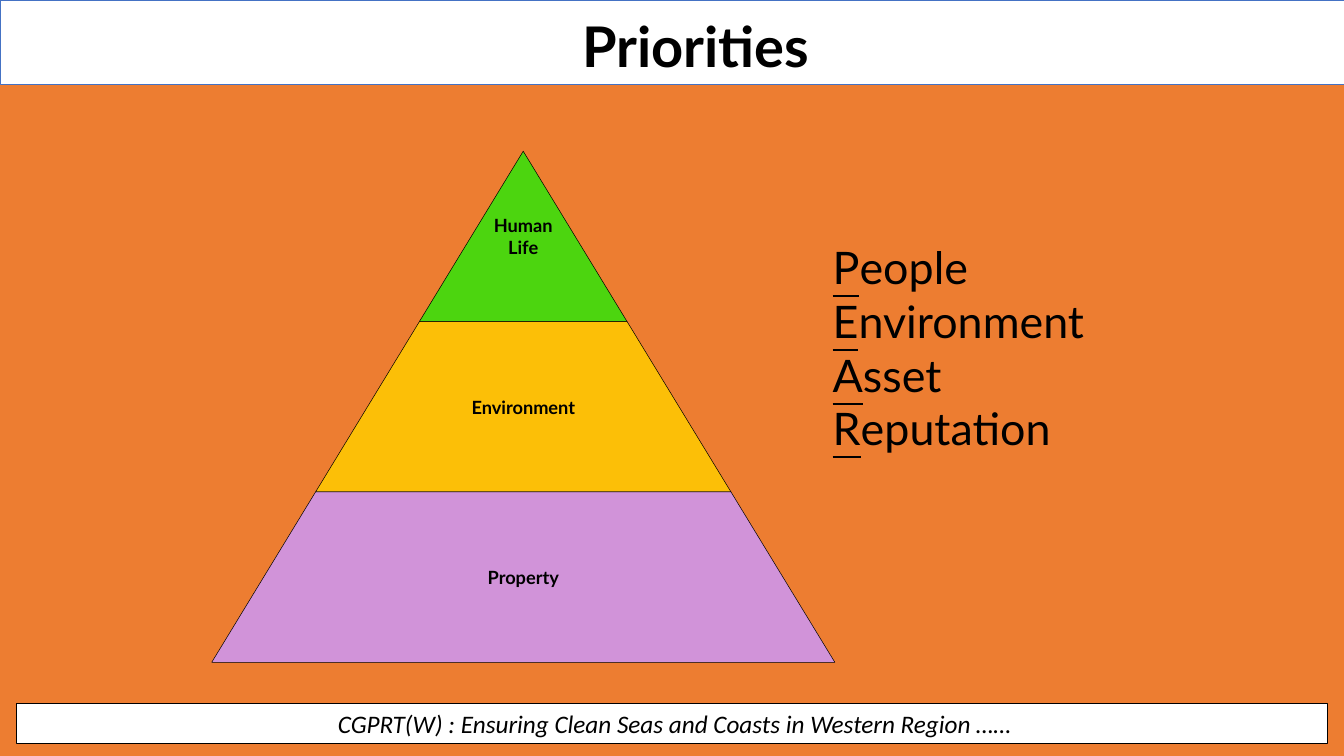
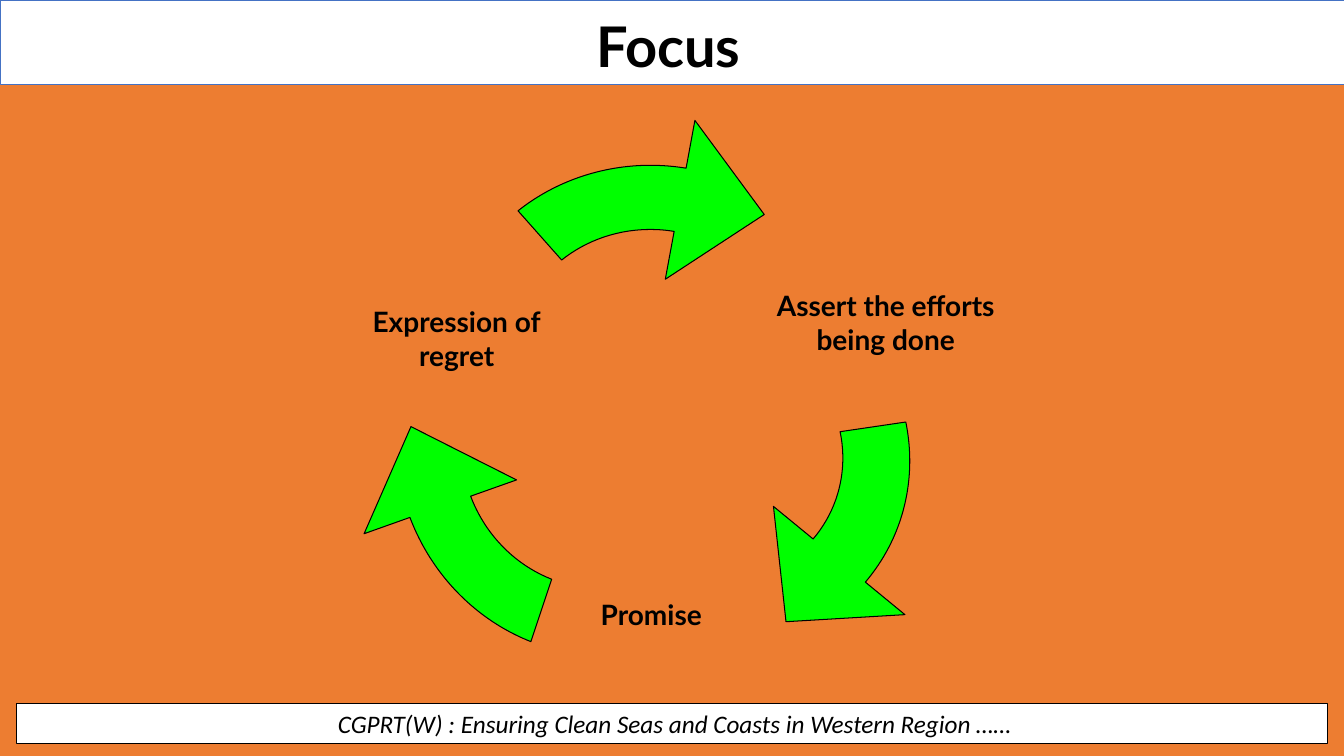
"""Build the Priorities and Focus slides."""
import math
import pptx
import pptx.util
import pptx.dml.color
import pptx.enum.shapes
import pptx.enum.text
import pptx.oxml.ns
import lxml.etree

PX = 9144
BACK, WHITE, BLACK, BLUE, GREEN = "ED7D31", "FFFFFF", "000000", "4472C4", "00FF00"
LEFT, MID = pptx.enum.text.PP_ALIGN.LEFT, pptx.enum.text.PP_ALIGN.CENTER
TOP, CORE = pptx.enum.text.MSO_ANCHOR.TOP, pptx.enum.text.MSO_ANCHOR.MIDDLE
RECT = pptx.enum.shapes.MSO_SHAPE.RECTANGLE
tag = pptx.oxml.ns.qn


def paint(shape, fill, line, width, alpha=100):
    """Set fill, opacity and outline, and drop the shadow."""
    shape.shadow.inherit = False
    shape.fill.solid()
    shape.fill.fore_color.rgb = pptx.dml.color.RGBColor.from_string(fill)
    shape.line.color.rgb = pptx.dml.color.RGBColor.from_string(line)
    shape.line.width = pptx.util.Pt(width)
    if alpha < 100:
        tint = shape.fill._xPr.find(".//" + tag("a:srgbClr"))
        lxml.etree.SubElement(tint, tag("a:alpha"), val=str(alpha * 1000))


def write(shape, text, size, font="Lato", bold=True, align=MID, anchor=CORE, tight=True):
    """Fill a shape with text in one style; tight means no insets and no wrap."""
    frame = shape.text_frame
    frame.text = text
    frame.vertical_anchor = anchor
    frame.word_wrap = not tight
    if tight:
        frame.margin_left = frame.margin_right = frame.margin_top = frame.margin_bottom = 0
    for para in frame.paragraphs:
        para.alignment = align
        for run in para.runs:
            run.font.size = pptx.util.Pt(size)
            run.font.name = font
            run.font.bold = bold
            run.font.color.rgb = pptx.dml.color.RGBColor.from_string(BLACK)
    return frame


deck = pptx.Presentation()
deck.slide_width, deck.slide_height = 1333 * PX, 750 * PX

slides = []
for title, left, wide in [("Priorities", 240, 900), ("Focus", 140, 1046)]:
    slide = deck.slides.add_slide(deck.slide_layouts[6])
    slide.background.fill.solid()
    slide.background.fill.fore_color.rgb = pptx.dml.color.RGBColor.from_string(BACK)
    foot = slide.shapes.add_shape(RECT, 16 * PX, 698 * PX, 1301 * PX, 40 * PX)
    paint(foot, WHITE, BLACK, 0.75)
    frame = write(foot, " CGPRT(W) : Ensuring Clean Seas and Coasts in Western Region ……",
                  18, "Calibri", False, tight=False)
    frame.paragraphs[0].runs[0].font.italic = True
    band = slide.shapes.add_shape(RECT, 0, 0, 1333 * PX, 84 * PX)
    paint(band, WHITE, BLUE, 0.5)
    head = slide.shapes.add_textbox(left * PX, 14 * PX, wide * PX, 61 * PX)
    frame = write(head, title, 40, anchor=TOP, tight=False)
    frame.paragraphs[0].line_spacing = 0.9
    slides.append(slide)
first, second = slides

peak, top, tall, step = 519, 150, 169, 103
tiers = [("Human\nLife", GREEN, 68), ("Environment", "FFCC00", 84), ("Property", "CC99FF", 82)]
for rank, (text, fill, alpha) in enumerate(tiers):
    high, low = top + rank * tall, top + (rank + 1) * tall
    near, far = rank * step, (rank + 1) * step
    pen = first.shapes.build_freeform(peak - far, low, PX)
    corners = [(peak - near, high), (peak + near, high), (peak + far, low)]
    pen.add_line_segments(corners if rank else corners[1:])
    tier = pen.convert_to_shape()
    paint(tier, fill, BLACK, 0.37, alpha)
    write(tier, text, 13)

box = first.shapes.add_textbox(816 * PX, 233 * PX, 354 * PX, 226 * PX)
frame = write(box, "P\nE\nA\nR", 32, bold=False, align=LEFT, anchor=TOP, tight=False)
for para, rest in zip(frame.paragraphs, ["eople", "nvironment", "sset", "eputation"]):
    para.runs[0].font.underline = True
    run = para.add_run()
    run.text = rest
    run.font.size = pptx.util.Pt(32)
    run.font.name = "Lato"
    run.font.color.rgb = pptx.dml.color.RGBColor.from_string(BLACK)

steps = [("moveTo", [(0.67, -80)])]
for reach, stops in [(0.67, [-80, -90, -130]), (1, [-130, -90, -80])]:
    if reach == 1:
        steps.append(("lnTo", [(1, -130)]))
    for start, end in zip(stops, stops[1:]):
        bend = math.degrees(math.atan(4 / 3 * math.tan(math.radians(end - start) / 4)))
        pull = reach / math.cos(math.radians(bend))
        steps.append(("cubicBezTo", [(pull, start + bend), (pull, end - bend), (reach, end)]))
steps += [("lnTo", [spot]) for spot in [(1.25, -80), (0.93, -53.4), (0.42, -80), (0.67, -80)]]
steps.append(("close", []))

for mid, level, wide, tall, turn in [(645, 357, 408, 386, 0), (701, 448, 386, 408, 120),
                                     (589, 449, 408, 386, 240)]:
    left, top = mid - wide / 2, level - tall / 2
    pen = second.shapes.build_freeform(left, top, PX)
    pen.add_line_segments([(left + wide, top), (left + wide, top + tall)])
    arrow = pen.convert_to_shape()
    arrow.rotation = turn
    track = arrow._element.find(".//" + tag("a:path"))
    track.set("w", "2000")
    track.set("h", "2000")
    for node in list(track):
        track.remove(node)
    for kind, spots in steps:
        node = lxml.etree.SubElement(track, tag("a:" + kind))
        for reach, deg in spots:
            x = round(1000 + 1000 * reach * math.cos(math.radians(deg)))
            y = round(1000 + 1000 * reach * math.sin(math.radians(deg)))
            lxml.etree.SubElement(node, tag("a:pt"), x=str(x), y=str(y))
    paint(arrow, GREEN, BLACK, 0.75)

for text, left, top, wide, tall in [("Assert the efforts\nbeing done", 729, 248, 299, 143),
                                    ("Promise", 563, 552, 166, 114),
                                    ("Expression of\nregret", 363, 258, 180, 155)]:
    label = second.shapes.add_textbox(left * PX, top * PX, wide * PX, tall * PX)
    write(label, text, 20)

deck.save("out.pptx")
